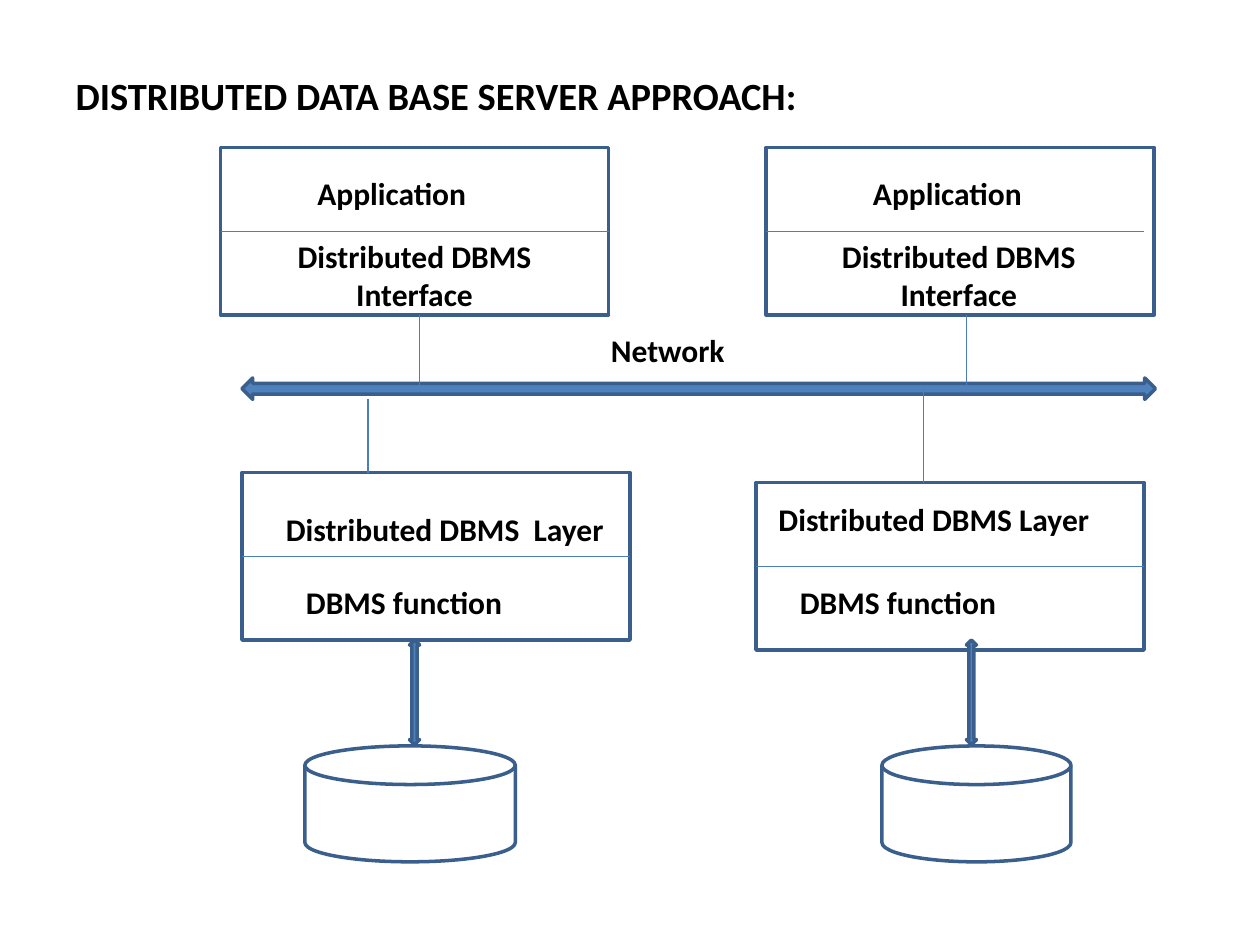
import pptx
import pptx.util
import pptx.dml.color
import pptx.enum.shapes
import pptx.enum.text
import pptx.oxml.ns
import lxml.etree

Inches = pptx.util.Inches
Pt = pptx.util.Pt
RGB = pptx.dml.color.RGBColor.from_string
KIND = pptx.enum.shapes.MSO_SHAPE
ALIGN = pptx.enum.text.PP_ALIGN
FIT = pptx.enum.text.MSO_AUTO_SIZE
HUES = {"text": "000000", "edge": "3A5F8C", "link": "4B7EBC", "fill": "4F81BD"}

deck = pptx.Presentation()
deck.slide_width, deck.slide_height = Inches(10), Inches(7.5)
slide = deck.slides.add_slide(deck.slide_layouts[5])
shapes = slide.shapes


def write(text, left, top, width, height=0.4, box=None, size=18,
          align=ALIGN.LEFT, wrap=True):
    """Place bold text in a new text box, or in the given box."""
    place = [Inches(n) for n in (left, top, width, height)]
    if box is None:
        box = shapes.add_textbox(*place)
    else:
        box.left, box.top, box.width, box.height = place
    frame = box.text_frame
    frame.text = text
    frame.word_wrap = wrap
    frame.auto_size = FIT.NONE
    frame.vertical_anchor = pptx.enum.text.MSO_ANCHOR.TOP
    para = frame.paragraphs[0]
    para.alignment = align
    para.font.name = "Calibri"
    para.font.size = Pt(size)
    para.font.bold = True
    para.font.color.rgb = RGB(HUES["text"])


def draw(kind, left, top, width, height, fill=None):
    """Draw an outlined shape; a kind of None gives a thin line."""
    if kind is None:
        item = shapes.add_connector(
            pptx.enum.shapes.MSO_CONNECTOR.STRAIGHT, Inches(left), Inches(top),
            Inches(left + width), Inches(top + height))
        lxml.etree.SubElement(item._element.spPr, pptx.oxml.ns.qn("a:effectLst"))
    else:
        item = shapes.add_shape(kind, *map(Inches, (left, top, width, height)))
        item.shadow.inherit = False
        if fill:
            item.fill.solid()
            item.fill.fore_color.rgb = RGB(fill)
        else:
            item.fill.background()
    item.line.color.rgb = RGB(HUES["edge" if kind else "link"])
    item.line.width = Pt(2 if kind else 0.75)
    return item


# Title
write("DISTRIBUTED DATA BASE SERVER APPROACH:", 0.5, 0.52, 9, 0.5,
      box=shapes.title, size=22)

# Boxes split in two: left, top, width of the divider
wide, high = 3.08, 1.33
for left, top, span in [(1.75, 1.17, wide), (6.08, 1.17, 3),
                        (1.92, 3.75, wide), (6, 3.83, wide)]:
    rect = draw(KIND.RECTANGLE, left, top, wide, high)
    split = draw(None, left, top + high / 2, span, 0)
    split.begin_connect(rect, 1)
    if span == wide:
        split.end_connect(rect, 3)

# Network bar and its links: x, top, bottom
draw(KIND.LEFT_RIGHT_ARROW, 1.92, 3, 7.25, 0.17, fill=HUES["fill"])
for x, top, base in [(3.33, 2.5, 3.08), (7.67, 2.5, 3.08),
                     (2.92, 3.17, 3.75), (7.33, 3.08, 3.83)]:
    draw(None, x, top, 0, base - top)
write("Network", 4.75, 2.58, 1.25)

# Data stores with their arrows: left, width, arrow left
for left, width, x in [(2.42, 1.67, 3.25), (7, 1.5, 7.67)]:
    draw(KIND.FLOWCHART_MAGNETIC_DISK, left, 5.92, width, 0.92)
    draw(KIND.UP_DOWN_ARROW, x, 5.08, 0.08, 0.83, fill=HUES["fill"])

# Labels of the upper boxes
for left, low, width in [(2.42, 1.83, 2.92), (6.83, 6.33, 2.56)]:
    write("Application", left, 1.33, 1.39, wrap=False)
    write("Distributed DBMS Interface", low, 1.83, width, 0.71,
          align=ALIGN.CENTER)

# Labels of the lower boxes
for text, left, top, low in [("Distributed DBMS  Layer", 2.17, 4, 2.33),
                             ("Distributed DBMS Layer", 6.08, 3.92, 6.25)]:
    write(text, left, top, 2.75)
    write("DBMS function", low, 4.58, 2.5)

deck.save("out.pptx")
